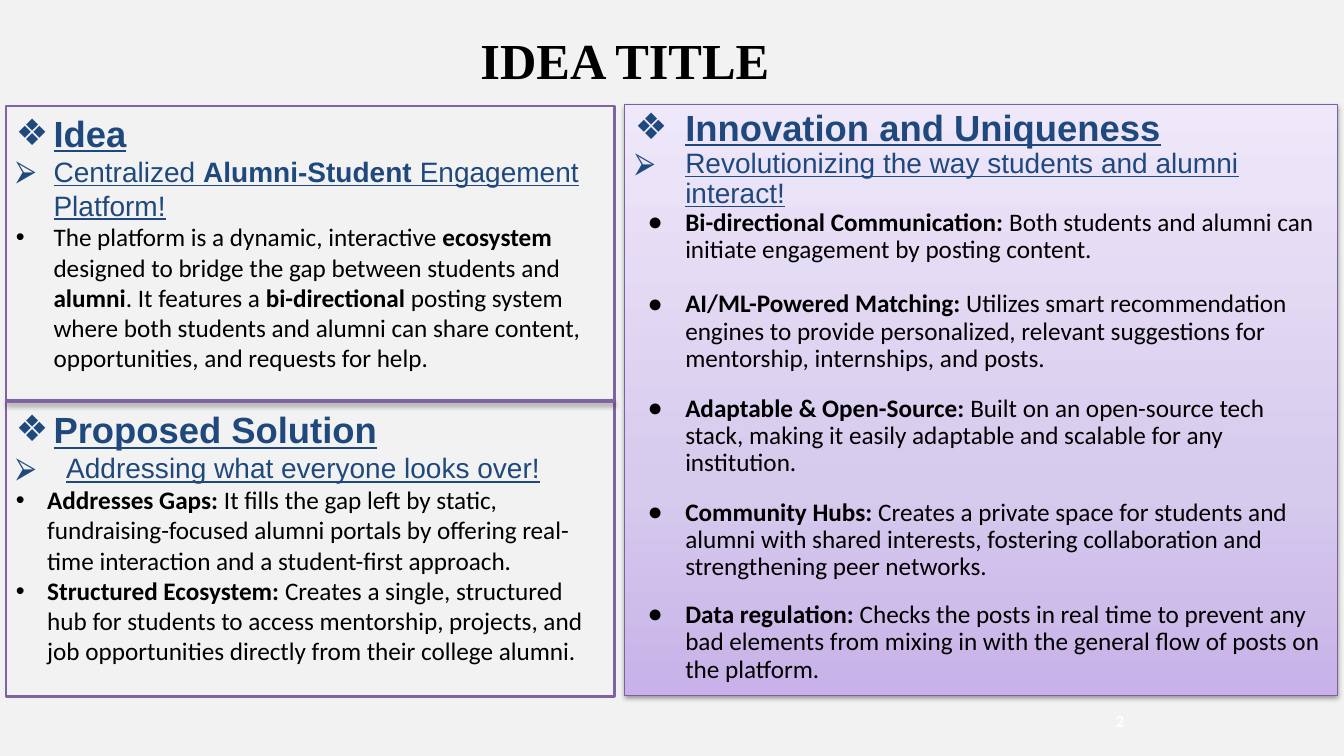
from dataclasses import dataclass

from lxml import etree
from pptx import Presentation
from pptx.dml.color import RGBColor
from pptx.enum.shapes import MSO_CONNECTOR, MSO_SHAPE
from pptx.enum.text import MSO_ANCHOR, MSO_AUTO_SIZE, PP_ALIGN
from pptx.oxml import parse_xml
from pptx.oxml.ns import nsdecls, qn
from pptx.util import Cm, Pt

RECTANGLE = MSO_SHAPE.RECTANGLE
STRAIGHT = MSO_CONNECTOR.STRAIGHT
TOP, BOTTOM = MSO_ANCHOR.TOP, MSO_ANCHOR.BOTTOM
LEFT, CENTER = PP_ALIGN.LEFT, PP_ALIGN.CENTER
NO_AUTOFIT = MSO_AUTO_SIZE.NONE
LEFT_SIDE, RIGHT_SIDE = 1, 3
TITLE_ONLY = 5


@dataclass(frozen=True)
class Theme:
    paper: str = "F2F2F2"
    ink: str = "000000"
    navy: str = "1F497D"
    purple: str = "8064A2"
    panel_edge: str = "7C5F9F"
    page_number: str = "FFFFFF"
    panel_stops: tuple = ((0, "C8B2E9"), (35, "D6CAED"), (100, "EFE8FA"))
    title_font: str = "Times New Roman"
    heading_font: str = "Arial"
    body_font: str = "Calibri"
    title_size: int = 36
    heading_size: int = 26
    tagline_size: int = 20
    body_size: int = 18
    number_size: int = 12


THEME = Theme()


def rgb(value):
    return RGBColor.from_string(value)


def add_run(paragraph, text, font, size, color, bold=False, underline=False):
    run = paragraph.add_run()
    run.text = text
    run.font.name = font
    run.font.size = Pt(size)
    run.font.color.rgb = rgb(color)
    run.font.bold = bold
    run.font.underline = underline


def set_bullet(paragraph, symbol, color, margin, hanging):
    properties = paragraph._p.get_or_add_pPr()
    properties.set("marL", str(Cm(margin)))
    properties.set("indent", str(-Cm(hanging)))
    bullet_color = etree.SubElement(properties, qn("a:buClr"))
    etree.SubElement(bullet_color, qn("a:srgbClr")).set("val", color)
    etree.SubElement(properties, qn("a:buFont")).set("typeface", THEME.heading_font)
    etree.SubElement(properties, qn("a:buChar")).set("char", symbol)


def add_item(panel, symbol, pieces, margin, hanging, font, size, color,
             underline=False, before=0, spacing=None):
    frame = panel.text_frame
    paragraph = frame.paragraphs[0]
    if paragraph.runs:
        paragraph = frame.add_paragraph()
    set_bullet(paragraph, symbol, color, margin, hanging)
    paragraph.alignment = LEFT
    paragraph.space_before = Pt(before)
    if spacing:
        paragraph.line_spacing = spacing
    for text, bold in pieces:
        add_run(paragraph, text, font, size, color, bold, underline)


def add_heading(panel, text, margin, **gaps):
    add_item(panel, "❖", [(text, True)], margin, margin, THEME.heading_font,
             THEME.heading_size, THEME.navy, True, **gaps)


def add_tagline(panel, pieces, margin, **gaps):
    add_item(panel, "⮚", pieces, margin, margin, THEME.heading_font,
             THEME.tagline_size, THEME.navy, True, **gaps)


def add_point(panel, symbol, pieces, margin, hanging, **gaps):
    add_item(panel, symbol, pieces, margin, hanging, THEME.body_font,
             THEME.body_size, THEME.ink, **gaps)


def add_panel(slide, left, top, width, height, edge, edge_width):
    panel = slide.shapes.add_shape(RECTANGLE, Cm(left), Cm(top), Cm(width), Cm(height))
    panel.shadow.inherit = False
    panel.fill.solid()
    panel.fill.fore_color.rgb = rgb(THEME.paper)
    panel.line.color.rgb = rgb(edge)
    panel.line.width = Pt(edge_width)
    panel.text_frame.word_wrap = True
    panel.text_frame.vertical_anchor = TOP
    return panel


def set_gradient(panel, stops):
    stop_xml = "".join(
        f'<a:gs pos="{position * 1000}"><a:srgbClr val="{color}"/></a:gs>'
        for position, color in stops)
    gradient = parse_xml(
        f'<a:gradFill {nsdecls("a")} rotWithShape="1"><a:gsLst>{stop_xml}</a:gsLst>'
        '<a:lin ang="16200000" scaled="0"/></a:gradFill>')
    properties = panel._element.spPr
    properties.replace(properties.find(qn("a:solidFill")), gradient)


def set_shadow(element, opacity, distance):
    properties = element._element.spPr
    for effects in properties.findall(qn("a:effectLst")):
        properties.remove(effects)
    properties.append(parse_xml(
        f'<a:effectLst {nsdecls("a")}><a:outerShdw blurRad="{Pt(3.1)}" '
        f'dist="{Pt(distance)}" dir="5400000" rotWithShape="0">'
        f'<a:srgbClr val="{THEME.ink}"><a:alpha val="{opacity * 1000}"/></a:srgbClr>'
        '</a:outerShdw></a:effectLst>'))


def add_title(slide):
    title = slide.shapes.title
    title.left, title.top = Cm(0.51), Cm(-0.79)
    title.width, title.height = Cm(30.48), Cm(3.18)
    title.text_frame.auto_size = NO_AUTOFIT
    title.text_frame.vertical_anchor = BOTTOM
    paragraph = title.text_frame.paragraphs[0]
    paragraph.alignment = CENTER
    add_run(paragraph, "IDEA TITLE", THEME.title_font, THEME.title_size, THEME.ink, True)


def add_idea_and_solution(slide):
    panel = add_panel(slide, 0.15, 2.67, 15.34, 14.88, THEME.purple, 2)
    add_heading(panel, "Idea", 0.95)
    add_tagline(panel, [("Centralized ", False), ("Alumni-Student", True),
                        (" Engagement Platform!", False)], 0.95)
    add_point(panel, "•", [
        ("The platform is a dynamic, interactive ", False),
        ("ecosystem", True),
        (" designed to bridge the gap between students and ", False),
        ("alumni", True),
        (". It features a ", False),
        ("bi-directional", True),
        (" posting system where both students and alumni can share content, "
         "opportunities, and requests for help.", False)], 0.95, 0.95)
    add_heading(panel, "Proposed Solution", 0.95, before=24.5)
    add_tagline(panel, [("Addressing what everyone looks over!", False)], 1.27)
    for label, detail in (
            ("Addresses Gaps:", " It fills the gap left by static, fundraising-focused "
             "alumni portals by offering real-time interaction and a student-first approach."),
            ("Structured Ecosystem:", " Creates a single, structured hub for students to "
             "access mentorship, projects, and job opportunities directly from their "
             "college alumni.")):
        add_point(panel, "•", [(label, True), (detail, False)], 0.79, 0.79)

    divider = slide.shapes.add_connector(STRAIGHT, 0, 0, 0, 0)
    divider.begin_connect(panel, RIGHT_SIDE)
    divider.end_connect(panel, LEFT_SIDE)
    divider.line.color.rgb = rgb(THEME.purple)
    divider.line.width = Pt(3)
    set_shadow(divider, 35, 1.8)


def add_innovation(slide):
    panel = add_panel(slide, 15.75, 2.64, 17.96, 14.88, THEME.panel_edge, 0.75)
    set_gradient(panel, THEME.panel_stops)
    set_shadow(panel, 38, 1.6)
    add_heading(panel, "Innovation and Uniqueness", 1.27, spacing=0.9)
    add_tagline(panel, [("Revolutionizing the way students and alumni interact!", False)],
                1.27, spacing=0.9)
    for before, label, detail in (
            (0, "Bi-directional Communication:", " Both students and alumni can initiate "
             "engagement by posting content."),
            (19.5, "AI/ML-Powered Matching:", " Utilizes smart recommendation engines to "
             "provide personalized, relevant suggestions for mentorship, internships, "
             "and posts."),
            (16, "Adaptable & Open-Source:", " Built on an open-source tech stack, making "
             "it easily adaptable and scalable for any institution."),
            (16, "Community Hubs:", " Creates a private space for students and alumni with "
             "shared interests, fostering collaboration and strengthening peer networks."),
            (15, "Data regulation:", " Checks the posts in real time to prevent any bad "
             "elements from mixing in with the general flow of posts on the platform.")):
        add_point(panel, "●", [(label, True), (detail, False)], 1.27, 0.95,
                  before=before, spacing=0.9)


def add_page_number(slide):
    number = slide.shapes.add_textbox(Cm(27.72), Cm(17.78), Cm(1), Cm(0.76))
    number.text_frame.word_wrap = True
    paragraph = number.text_frame.paragraphs[0]
    paragraph.alignment = CENTER
    add_run(paragraph, "2", THEME.body_font, THEME.number_size, THEME.page_number, True)


def main():
    deck = Presentation()
    deck.slide_width, deck.slide_height = Cm(33.87), Cm(19.05)
    slide = deck.slides.add_slide(deck.slide_layouts[TITLE_ONLY])
    slide.background.fill.solid()
    slide.background.fill.fore_color.rgb = rgb(THEME.paper)
    add_title(slide)
    add_idea_and_solution(slide)
    add_innovation(slide)
    add_page_number(slide)
    deck.save("out.pptx")


if __name__ == "__main__":
    main()
